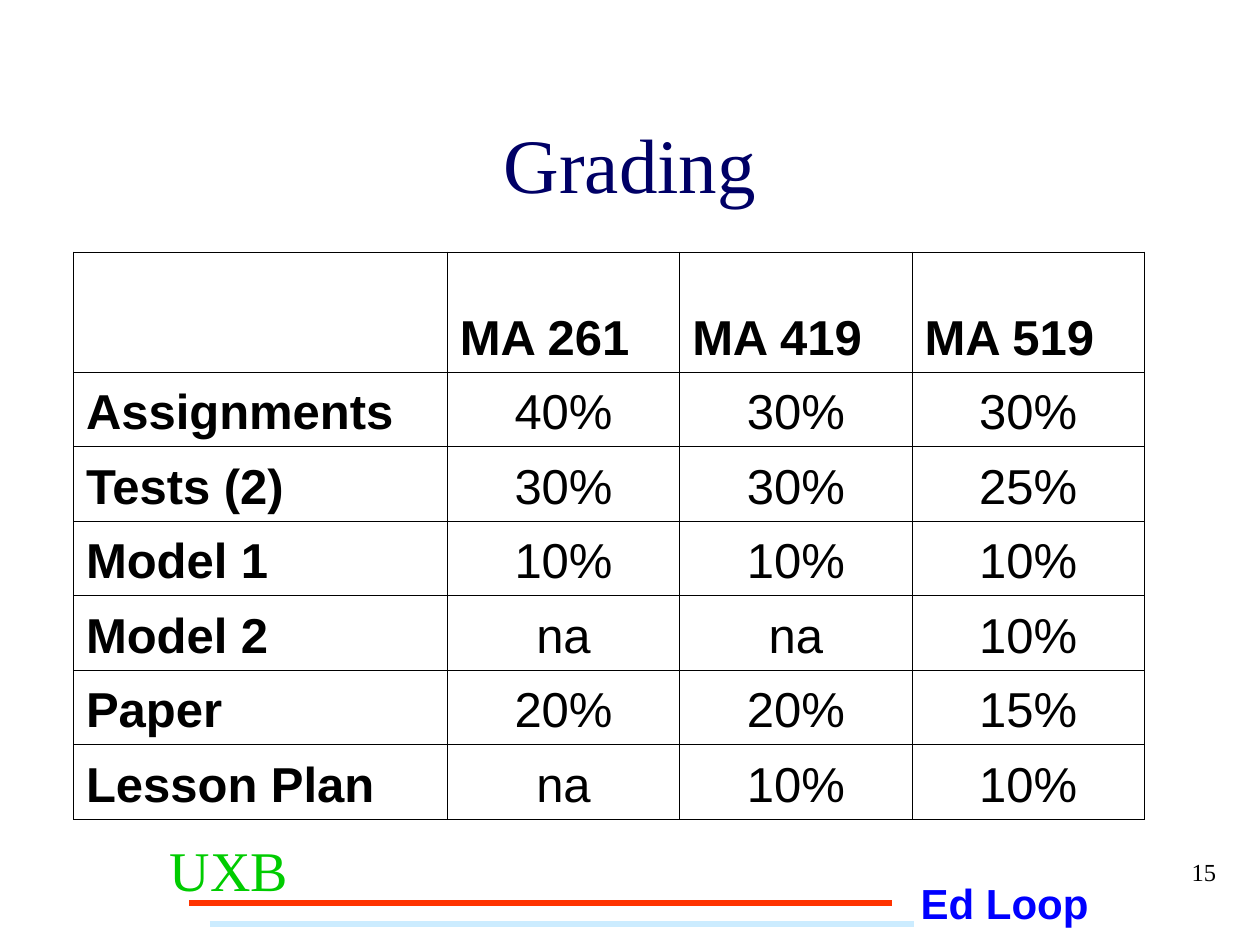
"""Build the course grading slide with its table and footer."""
from lxml import etree
from pptx import Presentation
from pptx.dml.color import RGBColor
from pptx.enum import shapes, text
from pptx.oxml import ns
from pptx.util import Pt

BLACK = RGBColor(0, 0, 0)
NAVY = RGBColor(0, 0, 0x66)
BLUE = RGBColor(0, 0, 0xFF)
GREEN = RGBColor(0, 0xCC, 0)
RED = RGBColor(0xFF, 0x33, 0)
PALE = RGBColor(0xCC, 0xEC, 0xFF)
SANS, SERIF = "Arial", "Times New Roman"
LEFT, MID, RIGHT = text.PP_ALIGN.LEFT, text.PP_ALIGN.CENTER, text.PP_ALIGN.RIGHT

TITLE = "Grading"
GRADES = [
    ("", "MA 261", "MA 419", "MA 519"),
    ("Assignments", "40%", "30%", "30%"),
    ("Tests (2)", "30%", "30%", "25%"),
    ("Model 1", "10%", "10%", "10%"),
    ("Model 2", "na", "na", "10%"),
    ("Paper", "20%", "20%", "15%"),
    ("Lesson Plan", "na", "10%", "10%"),
]
WIDTHS = [213.6] + [132.8] * 3
HEIGHTS = [68.6] + [42.6] * 6
RULES = [(108, 516, RED), (120, 528, PALE)]
RULE_LEN = 402
LABELS = [
    ("Ed Loop", (519, 498, 120, 30), SANS, 24, BLUE, True, LEFT),
    ("UXB", (90, 474, 90, 46), SERIF, 32, GREEN, False, LEFT),
    ("15", (552, 486, 150, 36), SERIF, 14, BLACK, False, RIGHT),
]


def style(frame, face, size, color, bold=False, align=LEFT):
    for para in frame.paragraphs:
        para.alignment = align
        for run in para.runs:
            font = run.font
            font.name, font.size, font.bold = face, Pt(size), bold
            font.color.rgb = color


def place(shape, box):
    shape.left, shape.top, shape.width, shape.height = map(Pt, box)


def border(cell):
    props = cell._tc.get_or_add_tcPr()
    for spot, side in enumerate(("lnL", "lnR", "lnT", "lnB")):
        line = etree.Element(ns.qn("a:" + side), w=str(Pt(0.45)))
        fill = etree.SubElement(line, ns.qn("a:solidFill"))
        etree.SubElement(fill, ns.qn("a:srgbClr"), val=str(BLACK))
        props.insert(spot, line)


def add_rule(slide, left, top, color):
    rule = slide.shapes.add_connector(
        shapes.MSO_CONNECTOR.STRAIGHT, Pt(left), Pt(top), Pt(left + RULE_LEN), Pt(top))
    rule.line.color.rgb = color
    rule.line.width = Pt(3)
    etree.SubElement(rule._element.spPr, ns.qn("a:effectLst"))


def add_label(slide, words, box, face, size, color, bold, align):
    frame = slide.shapes.add_textbox(*map(Pt, box)).text_frame
    frame.text = words
    frame.word_wrap = True
    style(frame, face, size, color, bold, align)


def add_grades(slide):
    grid = slide.shapes.add_table(
        len(HEIGHTS), len(WIDTHS), Pt(42), Pt(144), Pt(sum(WIDTHS)), Pt(sum(HEIGHTS))).table
    grid.horz_banding = False
    for col, width in zip(grid.columns, WIDTHS):
        col.width = Pt(width)
    for row, height in zip(grid.rows, HEIGHTS):
        row.height = Pt(height)
    for r, line in enumerate(GRADES):
        for c, words in enumerate(line):
            cell = grid.cell(r, c)
            cell.text_frame.text = words
            cell.vertical_anchor = text.MSO_ANCHOR.BOTTOM
            cell.fill.background()
            border(cell)
            head = r == 0 or c == 0
            style(cell.text_frame, SANS, 28, BLACK, head, LEFT if head else MID)


def main():
    deck = Presentation()
    deck.slide_width, deck.slide_height = Pt(720), Pt(540)
    slide = deck.slides.add_slide(deck.slide_layouts[5])
    title = slide.shapes.title
    place(title, (54, 48, 612, 90))
    title.text_frame.text = TITLE
    title.text_frame.vertical_anchor = text.MSO_ANCHOR.MIDDLE
    style(title.text_frame, SERIF, 44, NAVY, align=MID)
    for rule in RULES:
        add_rule(slide, *rule)
    add_grades(slide)
    for label in LABELS:
        add_label(slide, *label)
    deck.save("out.pptx")


if __name__ == "__main__":
    main()
